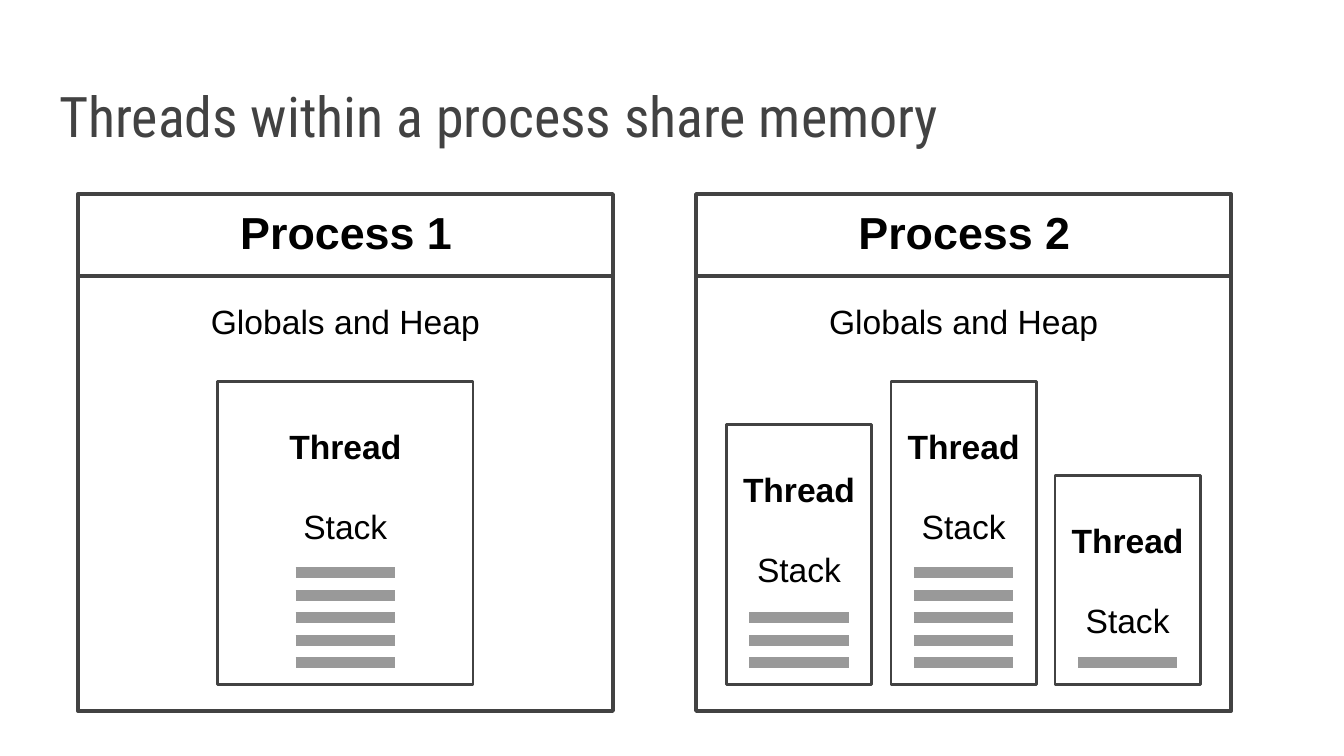
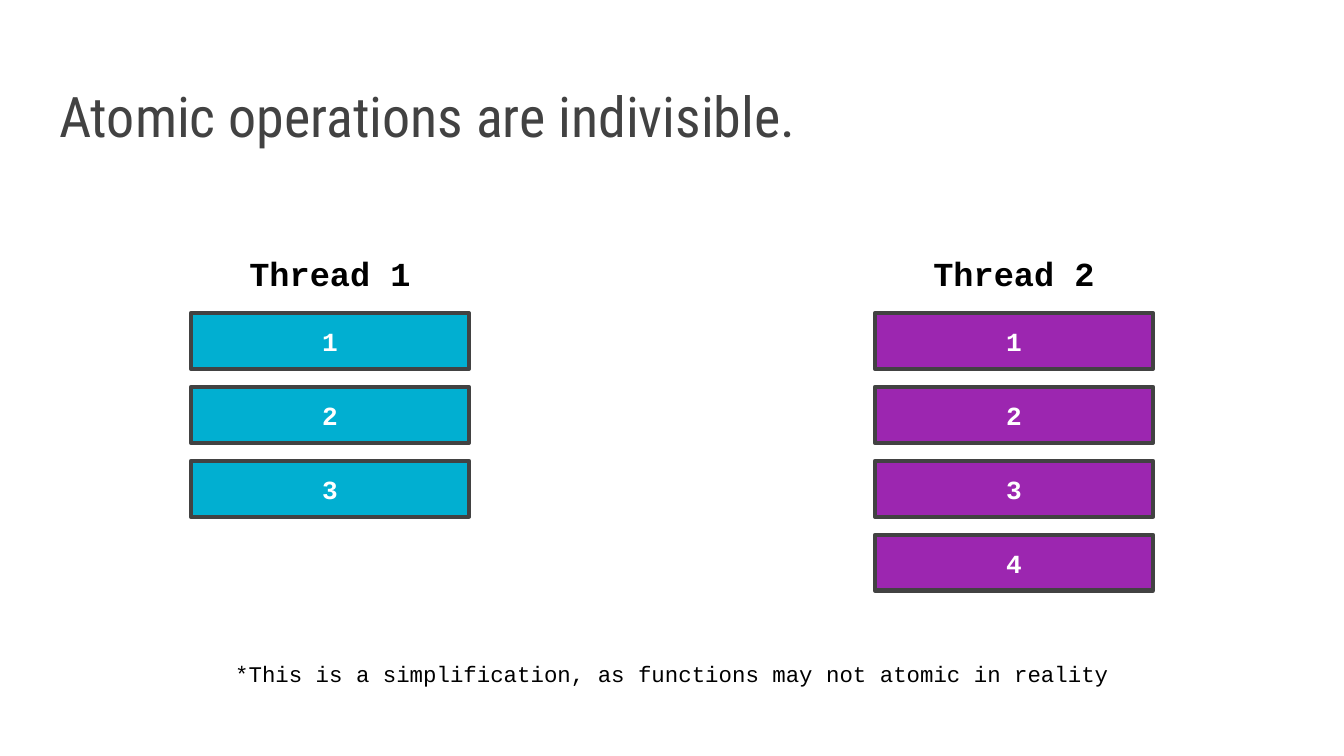
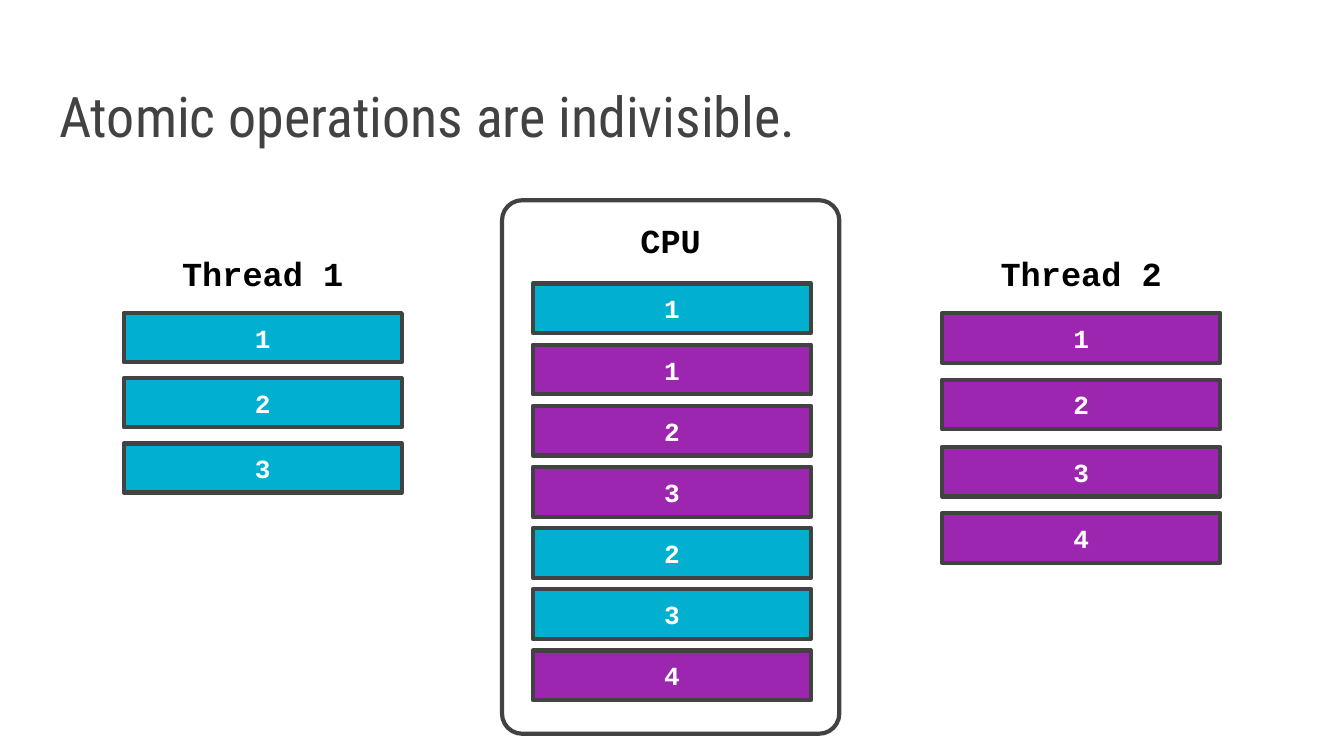
from dataclasses import dataclass

from lxml.etree import SubElement
from pptx import Presentation
from pptx.dml.color import RGBColor
from pptx.enum.shapes import MSO_CONNECTOR, MSO_SHAPE
from pptx.enum.text import MSO_ANCHOR, MSO_AUTO_SIZE, PP_ALIGN
from pptx.oxml.ns import qn
from pptx.util import Pt

PX = 4572


@dataclass(frozen=True)
class Theme:
    ink: str = "424242"
    black: str = "000000"
    white: str = "FFFFFF"
    stack: str = "999999"
    cyan: str = "01AFD1"
    purple: str = "9C26B0"
    title_size: int = 30
    process_size: int = 24
    heading_size: int = 18
    step_size: int = 14
    note_size: int = 12
    sans: str = "Arial"
    mono: str = "Courier New"
    display: str = "Roboto Condensed"


THEME = Theme()

STYLES = {
    "title": (THEME.display, THEME.title_size, False, THEME.ink),
    "process": (THEME.sans, THEME.process_size, True, THEME.black),
    "thread": (THEME.sans, THEME.heading_size, True, THEME.black),
    "memory": (THEME.sans, THEME.heading_size, False, THEME.black),
    "heading": (THEME.mono, THEME.heading_size, True, THEME.black),
    "step": (THEME.mono, THEME.step_size, True, THEME.white),
    "note": (THEME.mono, THEME.note_size, False, THEME.black),
}


def write(shape, lines, anchor=MSO_ANCHOR.TOP, align=PP_ALIGN.CENTER, top=20, gap=0):
    frame = shape.text_frame
    frame_format = {
        "word_wrap": True,
        "auto_size": MSO_AUTO_SIZE.NONE,
        "vertical_anchor": anchor,
        "margin_left": 20 * PX,
        "margin_right": 20 * PX,
        "margin_top": top * PX,
        "margin_bottom": 20 * PX,
    }
    for attribute, value in frame_format.items():
        setattr(frame, attribute, value)
    for index, (text, style) in enumerate(lines):
        paragraph = frame.add_paragraph() if index else frame.paragraphs[0]
        paragraph.alignment = align
        if index:
            paragraph.space_before = Pt(gap)
        run = paragraph.add_run()
        run.text = text
        name, size, bold, color = STYLES[style]
        font_format = {"name": name, "size": Pt(size), "bold": bold}
        for attribute, value in font_format.items():
            setattr(run.font, attribute, value)
        run.font.color.rgb = RGBColor.from_string(color)


def add_box(slide, bounds, fill=None, weight=2.25, outline=MSO_SHAPE.RECTANGLE):
    box = slide.shapes.add_shape(outline, *(length * PX for length in bounds))
    box.shadow.inherit = False
    if fill:
        box.fill.solid()
        box.fill.fore_color.rgb = RGBColor.from_string(fill)
    else:
        box.fill.background()
    box.line.color.rgb = RGBColor.from_string(THEME.ink)
    box.line.width = Pt(weight)
    return box


deck = Presentation()
deck.slide_width = 2000 * PX
deck.slide_height = 1125 * PX

titles = [
    "Threads within a process share memory",
    "Atomic operations are indivisible.",
    "Atomic operations are indivisible.",
]
for headline in titles:
    slide = deck.slides.add_slide(deck.slide_layouts[5])
    title = slide.shapes.title
    title_format = {"left": 68, "top": 82, "width": 1864, "height": 160}
    for attribute, value in title_format.items():
        setattr(title, attribute, value * PX)
    write(title, [(headline, "title")], MSO_ANCHOR.BOTTOM, PP_ALIGN.LEFT)

memory_slide, threads_slide, cpu_slide = deck.slides

labels = []
rules = []
for process_name, left in [("Process 1", 116), ("Process 2", 1036)]:
    add_box(memory_slide, (left, 289, 796, 769), THEME.white)
    labels.append((memory_slide, (left + 5, 284, 788, 116), process_name, "process"))
    labels.append((memory_slide, (left + 162, 428, 472, 98), "Globals and Heap", "memory"))
    rules.append((left + 2, left + 794, 411, THEME.ink, 2.25))

stack_bottom = 1019
for left, top, width, frames in [
    (324, 568, 380, 5),
    (1081, 632, 216, 3),
    (1326, 568, 216, 5),
    (1570, 708, 216, 1),
]:
    thread = add_box(memory_slide, (left, top, width, stack_bottom - top), THEME.white, 1.5)
    write(thread, [("Thread", "thread"), ("Stack", "memory")], top=66, gap=21)
    bar_left = left + (width - 148) // 2
    for level in range(frames):
        rules.append((bar_left, bar_left + 148, 986 - 67 * level // 2, THEME.stack, 6))

for start, end, y, color, weight in rules:
    rule = memory_slide.shapes.add_connector(
        MSO_CONNECTOR.STRAIGHT, start * PX, y * PX, end * PX, y * PX
    )
    rule.line.color.rgb = RGBColor.from_string(color)
    rule.line.width = Pt(weight)
    SubElement(rule._element.spPr, qn("a:effectLst"))

cpu = add_box(cpu_slide, (747, 298, 502, 794), outline=MSO_SHAPE.ROUNDED_RECTANGLE)
cpu.adjustments[0] = 0.06
write(cpu, [("CPU", "heading")])

first_thread = [(step, THEME.cyan) for step in "123"]
second_thread = [(step, THEME.purple) for step in "1234"]
interleaved = first_thread[:1] + second_thread[:3] + first_thread[1:] + second_thread[3:]

for slide, heading, left, first_top, last_top, height, steps in [
    (threads_slide, "Thread 1", 284, 466, 686, 83, first_thread),
    (threads_slide, "Thread 2", 1302, 466, 796, 83, second_thread),
    (cpu_slide, "Thread 1", 184, 466, 660, 73, first_thread),
    (cpu_slide, "Thread 2", 1402, 466, 764, 74, second_thread),
    (cpu_slide, None, 793, 422, 968, 74, interleaved),
]:
    if heading:
        labels.append((slide, (left, 356, 414, 82), heading, "heading"))
    for index, (step, color) in enumerate(steps):
        top = first_top + round((last_top - first_top) * index / (len(steps) - 1))
        operation = add_box(slide, (left, top, 414, height), color)
        write(operation, [(step, "step")], MSO_ANCHOR.MIDDLE)

caveat = "*This is a simplification, as functions may not atomic in reality"
labels.append((threads_slide, (248, 963, 1504, 82), caveat, "note"))

for slide, bounds, text, style in labels:
    label = slide.shapes.add_textbox(*(length * PX for length in bounds))
    write(label, [(text, style)])

deck.save("out.pptx")
